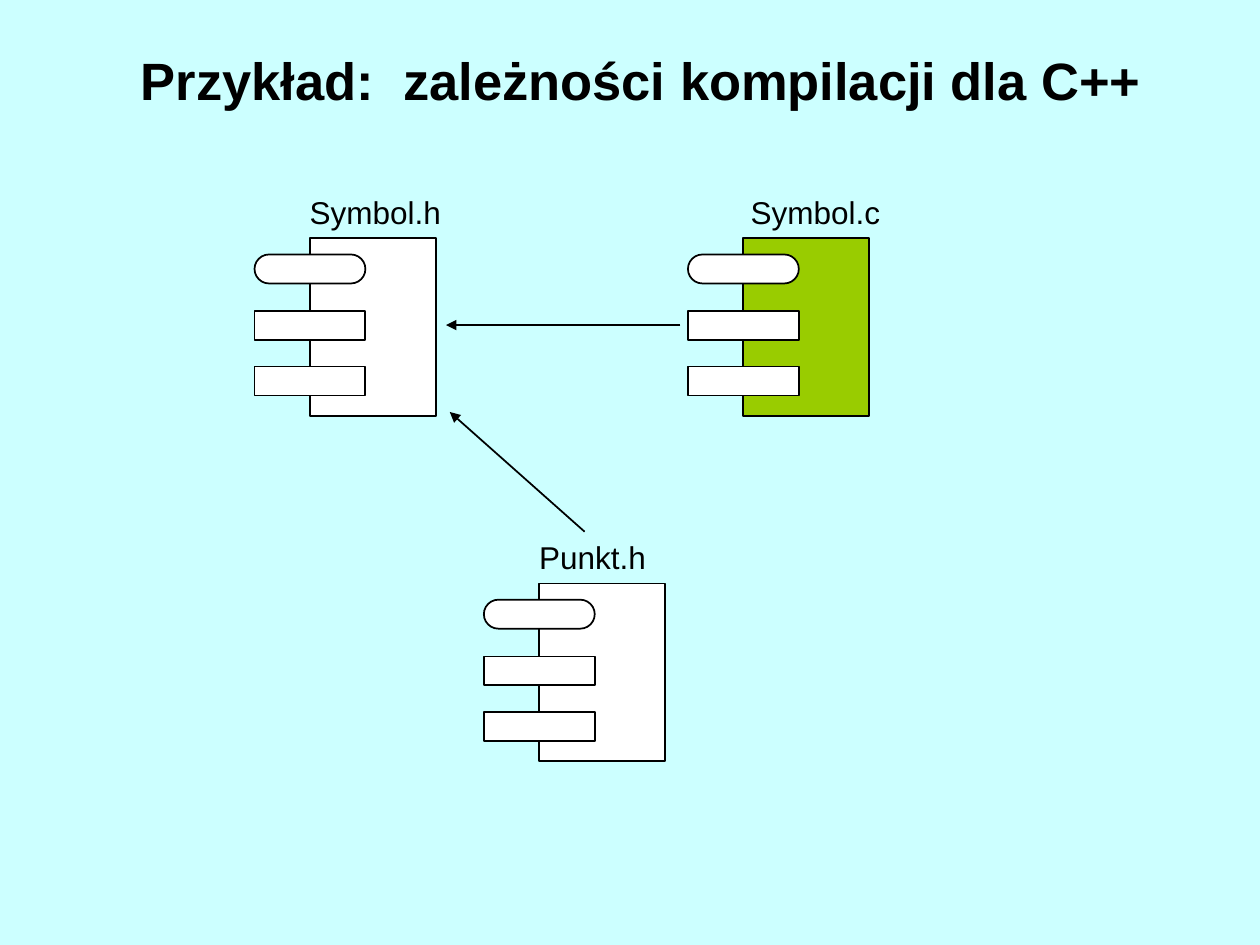
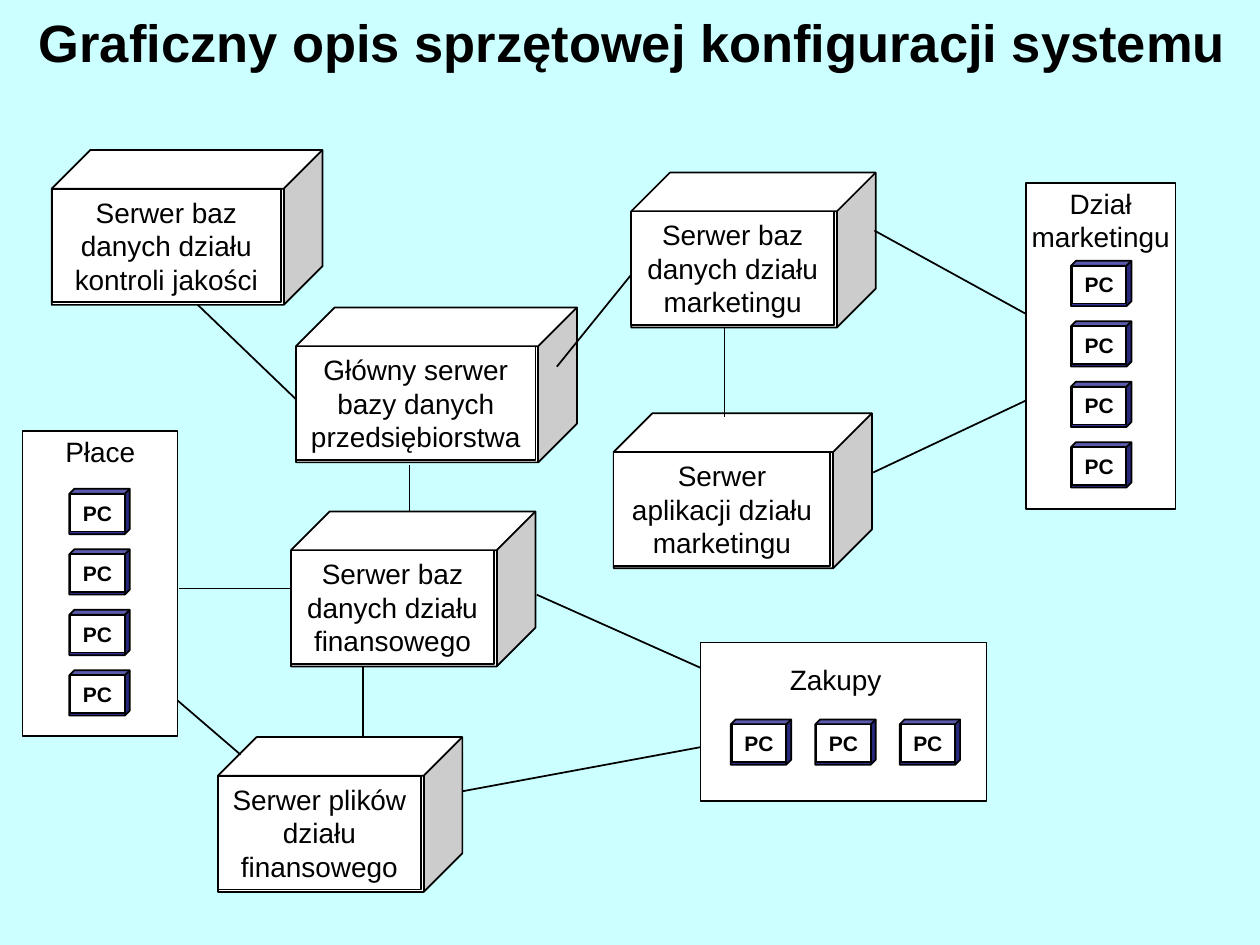
from lxml import etree
from pptx import Presentation
from pptx import util as u
from pptx.dml.color import RGBColor
from pptx.enum import shapes, text
from pptx.oxml import ns

# Shared look; the grid has 10 columns and 7.5 rows of one inch
COLUMNS, ROWS = 10, 7.5
FONT = "Arial"
BACKGROUND, INK, PAPER = "CCFFFF", "000000", "FFFFFF"
SOURCE_GREEN, PC_BLUE = "99CC00", "333399"
KIND = shapes.MSO_SHAPE
CENTER, LEFT = text.PP_ALIGN.CENTER, text.PP_ALIGN.LEFT


def paint(color_format, color):
    color_format.rgb = RGBColor.from_string(color)


def grid(*cells):
    return [u.Inches(cell) for cell in cells]


def write(frame, wording, size, bold=False, align=LEFT, wrap=False):
    frame.text = wording
    frame.word_wrap = wrap
    frame.vertical_anchor = text.MSO_ANCHOR.TOP
    frame.auto_size = text.MSO_AUTO_SIZE.SHAPE_TO_FIT_TEXT
    for paragraph in frame.paragraphs:
        paragraph.alignment = align
        for run in paragraph.runs:
            run.font.name, run.font.size, run.font.bold = FONT, u.Pt(size), bold
            paint(run.font.color, INK)


def outline(parent, kind, box, fill=PAPER, corner=None):
    shape = parent.shapes.add_shape(kind, *grid(*box))
    shape.shadow.inherit = False
    shape.fill.solid()
    paint(shape.fill.fore_color, fill)
    paint(shape.line.color, INK)
    shape.line.width = u.Pt(1)
    if corner is not None:
        shape.adjustments[0] = corner
    return shape


def label(parent, wording, box, size, align=LEFT):
    """A caption whose narrow margins leave its longest word room to spare."""
    frame = parent.shapes.add_textbox(*grid(*box)).text_frame
    write(frame, wording, size, align=align, wrap=True)
    frame.margin_right = u.Inches(0.03)
    if align == CENTER:
        frame.margin_left = frame.margin_right


def link(slide, start, end, arrow=False):
    line = slide.shapes.add_connector(
        shapes.MSO_CONNECTOR.STRAIGHT, *grid(*start, *end))
    paint(line.line.color, INK)
    line.line.width = u.Pt(1)
    properties = line.element.spPr
    if arrow:
        stroke = properties.find(ns.qn("a:ln"))
        etree.SubElement(stroke, ns.qn("a:tailEnd"), type="triangle")
    etree.SubElement(properties, ns.qn("a:effectLst"))


def titled_slide(deck, wording, box):
    slide = deck.slides.add_slide(deck.slide_layouts[5])
    title = slide.shapes.title
    title.left, title.top, title.width, title.height = grid(*box)
    write(title.text_frame, wording, 30, bold=True, align=CENTER, wrap=True)
    title.text_frame.auto_size = text.MSO_AUTO_SIZE.NONE
    title.text_frame.vertical_anchor = text.MSO_ANCHOR.MIDDLE
    return slide


def module(slide, name, left, top, label_box, fill=PAPER):
    """A source file: body with three tabs on its left edge."""
    group = slide.shapes.add_group_shape()
    tab_width, tab_height = 0.88, 0.23
    outline(group, KIND.RECTANGLE, (left + tab_width / 2, top, 1, 1.41), fill)
    for offset in (0.58, 1.02):
        outline(group, KIND.RECTANGLE,
                (left, top + offset, tab_width, tab_height))
    outline(group, KIND.ROUNDED_RECTANGLE,
            (left, top + 0.13, tab_width, tab_height), corner=0.5)
    label_shift, label_width = label_box
    label(group, name, (left + label_shift, top - 0.41, label_width, 0.4), 18)


def server(slide, wording, left, top, width):
    """A cube with its caption on the front face."""
    group = slide.shapes.add_group_shape()
    outline(group, KIND.CUBE, (left, top, width, 1.23), corner=0.25)
    face = outline(group, KIND.RECTANGLE,
                   (left, top + 0.31, width - 0.33, 0.9))
    write(face.text_frame, wording, 16, align=CENTER, wrap=True)


def computer(group, left, top):
    outline(group, KIND.CUBE, (left, top, 0.48, 0.36), PC_BLUE, corner=0.11)
    face = outline(group, KIND.RECTANGLE, (left + 0.01, top + 0.04, 0.43, 0.3))
    write(face.text_frame, "PC", 12, bold=True)


def department(slide, name, box, label_box, first_pc, count, step, align=LEFT):
    """A room of computers; places inside it are relative to its box."""
    group = slide.shapes.add_group_shape()
    left, top = box[:2]
    outline(group, KIND.RECTANGLE, box)
    for i in range(count):
        computer(group, left + first_pc[0] + i * step[0],
                 top + first_pc[1] + i * step[1])
    shift_x, shift_y, width, height = label_box
    label(group, name, (left + shift_x, top + shift_y, width, height), 16, align)


def compilation_slide(deck):
    slide = titled_slide(deck, "Przykład:  zależności kompilacji dla C++",
                         (0.59, 0.28, 9, 0.71))
    module(slide, "Symbol.h", 2.02, 1.89, (0.34, 1.24))
    module(slide, "Symbol.c", 5.46, 1.89, (0.4, 1.23), SOURCE_GREEN)
    module(slide, "Punkt.h", 3.84, 4.63, (0.34, 1.05))
    link(slide, (4.64, 4.22), (3.57, 3.27), arrow=True)
    link(slide, (5.4, 2.58), (3.54, 2.58), arrow=True)


def hardware_slide(deck):
    slide = titled_slide(deck, "Graficzny opis sprzętowej konfiguracji systemu",
                         (0.04, 0.04, 9.96, 0.58))

    # Servers
    for wording, left, top, width in (
        ("Serwer baz\ndanych działu\nkontroli jakości", 0.41, 1.19, 2.15),
        ("Główny serwer bazy danych\nprzedsiębiorstwa", 2.35, 2.44, 2.23),
        ("Serwer baz\ndanych działu\nmarketingu", 5.01, 1.37, 1.94),
        ("Serwer aplikacji działu\nmarketingu", 4.87, 3.28, 2.05),
        ("Serwer baz\ndanych działu\nfinansowego", 2.31, 4.06, 1.94),
        ("Serwer plików działu\nfinansowego", 1.73, 5.85, 1.94),
    ):
        server(slide, wording, left, top, width)

    # Links between servers
    for start, end in (
        ((1.57, 2.42), (2.35, 3.17)),
        ((4.42, 2.91), (5.01, 2.18)),
        ((3.25, 3.69), (3.25, 4.06)),
        ((5.75, 2.6), (5.75, 3.31)),
        ((2.88, 5.29), (2.88, 5.86)),
    ):
        link(slide, start, end)

    # Departments
    down, across = (0, 0.48), (0.67, 0)
    department(slide, "Płace", (0.18, 3.42, 1.23, 2.42),
               (0.24, -0.02, 0.75, 0.37), (0.37, 0.46), 4, down)
    department(slide, "Dział\nmarketingu", (8.14, 1.45, 1.19, 2.59),
               (-0.05, -0.02, 1.29, 0.64), (0.36, 0.62), 4, down, CENTER)
    department(slide, "Zakupy", (5.56, 5.1, 2.27, 1.26),
               (0.61, 0.11, 0.92, 0.37), (0.24, 0.61), 3, across)

    # Links from servers to departments
    for start, end in (
        ((4.26, 4.72), (5.56, 5.3)),
        ((3.67, 6.28), (5.56, 5.93)),
        ((1.91, 5.99), (1.41, 5.56)),
        ((1.42, 4.67), (2.31, 4.67)),
        ((6.93, 3.75), (8.14, 3.18)),
        ((6.94, 1.83), (8.14, 2.49)),
    ):
        link(slide, start, end)


deck = Presentation()
deck.slide_width, deck.slide_height = grid(COLUMNS, ROWS)
backdrop = deck.slide_master.background.fill
backdrop.solid()
paint(backdrop.fore_color, BACKGROUND)
compilation_slide(deck)
hardware_slide(deck)
deck.save("out.pptx")
